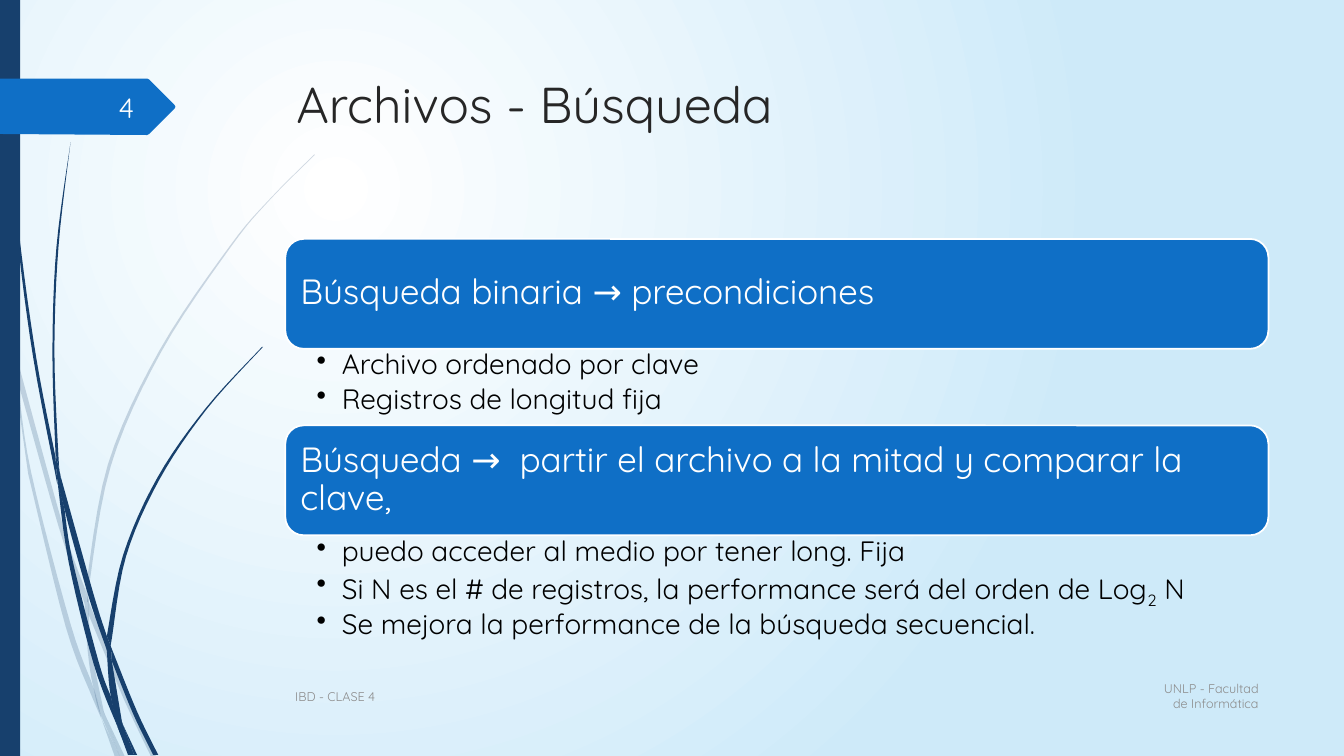
import pptx
import pptx.dml.color
import pptx.enum.shapes
import pptx.enum.text
import pptx.oxml
import pptx.oxml.ns
import pptx.util
from dataclasses import dataclass

Inches = pptx.util.Inches
Pt = pptx.util.Pt
qn = pptx.oxml.ns.qn
ALIGN = pptx.enum.text.PP_ALIGN
ANCHOR = pptx.enum.text.MSO_ANCHOR
PRESET = pptx.enum.shapes.MSO_SHAPE


@dataclass(frozen=True)
class Theme:
    font: str = "Quicksand"
    navy: str = "17406D"
    blue: str = "0F6FC6"
    sky: str = "CEEAF9"
    white: str = "FFFFFF"
    black: str = "000000"
    heading: str = "262626"
    muted: str = "8C8C8C"
    number: str = "FEFFFF"
    title_size: float = 36
    card_size: float = 25
    body_size: float = 20
    footer_size: float = 9


PALE_BLADES = [
    ([(0.11, 3.5), (0.09, 3.22), (0, 2.82)], [(0, 2.99), (0.1, 3.44)]),
    ([(0.14, 3.45), (0.62, 5.2), (0.85, 5.86)], [(0.84, 5.99), (0.58, 5.22), (0.17, 3.76)]),
    ([(0.88, 5.96), (0.92, 6.07), (1.27, 6.92), (1.55, 7.51)],
     [(1.5, 7.51), (1.23, 6.94), (0.88, 6.1)]),
    ([(1.05, 7.11), (1.24, 7.51)], [(1.19, 7.51)]),
    ([(0.11, 3.5), (0.17, 3.76), (0.31, 4.69), (0.7, 6.19), (0.93, 6.83), (1.01, 7.14)],
     [(0.92, 6.93), (0.65, 6.21), (0.28, 4.7)]),
    ([(0.84, 5.99), (0.87, 6.46), (0.93, 6.83), (1.05, 7.11)],
     [(1.03, 7.06), (0.91, 6.46), (0.88, 6.08)]),
    ([(0.88, 5.96), (0.88, 5.84), (1.1, 4.62), (1.6, 3.49), (2.29, 2.45), (2.68, 1.98), (3.12, 1.54)],
     [(3.12, 1.53), (2.68, 1.97), (2.28, 2.44), (1.58, 3.48), (1.07, 4.61), (0.85, 5.84)]),
    ([(1.01, 7.14), (1.14, 7.51)], [(1.19, 7.51)]),
    ([(0.88, 6.1), (0.88, 5.96), (0.85, 5.86)], [(0.84, 5.99), (0.88, 6.08)]),
    ([(0.93, 6.83), (0.99, 7.07), (1.19, 7.51)], [(1.05, 7.11), (0.96, 6.92)]),
]
NAVY_BLADES = [
    ([(0.03, 0), (0.07, 1.1), (0.17, 2.33), (0.33, 3.55), (0.57, 4.81)],
     [(0.55, 4.53), (0.36, 3.55), (0.19, 2.32), (0.08, 1.09), (0.04, 0)]),
    ([(0.6, 4.72), (0.64, 5.05), (0.88, 5.92), (1.06, 6.45)], [(1.06, 6.31), (0.93, 5.9), (0.6, 4.72)]),
    ([(1.1, 6.41), (1.13, 6.49), (1.36, 7.06), (1.57, 7.49)],
     [(1.52, 7.49), (1.32, 7.08), (1.11, 6.56)]),
    ([(0.57, 4.77), (0.68, 5.57), (0.93, 6.59), (1.17, 7.22)],
     [(1.1, 6.91), (0.98, 6.57), (0.72, 5.56), (0.64, 5.05)]),
    ([(0.6, 4.72), (0.58, 4.53), (0.54, 3.49), (0.58, 2.45), (0.7, 1.41)],
     [(0.7, 1.41), (0.56, 2.45), (0.52, 3.49), (0.55, 4.49)]),
    ([(1.22, 7.19), (1.33, 7.49)], [(1.36, 7.49)]),
    ([(0.55, 4.49), (0.57, 4.77), (0.64, 5.05)], [(0.6, 4.72)]),
    ([(1.1, 6.41), (1.11, 6.33), (1.25, 5.52), (1.58, 4.76), (2.05, 4.06), (2.61, 3.44)],
     [(2.6, 3.44), (2.04, 4.05), (1.56, 4.74), (1.22, 5.51), (1.06, 6.31)]),
    ([(1.17, 7.22), (1.27, 7.49)], [(1.31, 7.49)]),
    ([(1.06, 6.45), (1.1, 6.91), (1.22, 7.19)], [(1.21, 7.16), (1.11, 6.56)]),
    ([(1.06, 6.31), (1.06, 6.45), (1.11, 6.56)], [(1.1, 6.41)]),
    ([(1.1, 6.91), (1.17, 7.22), (1.3, 7.49)], [(1.33, 7.49), (1.22, 7.19), (1.16, 7.06)]),
]
NUMBER_TAG = [(0, 0.78), (1.46, 0.78), (1.48, 0.79), (1.73, 1.04), (1.74, 1.06),
              (1.73, 1.08), (1.48, 1.33), (1.46, 1.34), (0, 1.33)]


def smooth(edge, steps=6):
    points = [edge[0], *edge, edge[-1]]
    curve = []
    for a, b, c, d in zip(points, points[1:], points[2:], points[3:]):
        for step in range(steps):
            t = step / steps
            curve.append(tuple(
                q + t * (r - p) / 2 + t * t * (p - 2.5 * q + 2 * r - s / 2)
                + t ** 3 * (1.5 * (q - r) + (s - p) / 2)
                for p, q, r, s in zip(a, b, c, d)))
    return curve + [edge[-1]]


class SlideBuilder:
    def __init__(self, slide, theme):
        self.slide = slide
        self.theme = theme

    def background(self, centre, edge):
        fill = self.slide.background.fill
        fill.gradient()
        for stop, position, color in zip(fill.gradient_stops, (0, 1), (centre, edge)):
            stop.position = position
            stop.color.rgb = pptx.dml.color.RGBColor.from_string(color)
        linear = self.slide._element.find(".//" + qn("a:lin"))
        linear.getparent().replace(linear, pptx.oxml.parse_xml(
            f'<a:path {pptx.oxml.ns.nsdecls("a")} path="circle">'
            '<a:fillToRect l="50000" t="50000" r="100000" b="100000"/></a:path>'))

    def paint(self, shape, color, outline=None, alpha=None):
        shape.shadow.inherit = False
        shape.fill.solid()
        shape.fill.fore_color.rgb = pptx.dml.color.RGBColor.from_string(color)
        if alpha is not None:
            tint = shape._element.spPr.find(".//" + qn("a:srgbClr"))
            tint.append(tint.makeelement(qn("a:alpha"), {"val": str(alpha * 1000)}))
        if outline:
            shape.line.color.rgb = pptx.dml.color.RGBColor.from_string(outline)
            shape.line.width = Pt(1.25)
        else:
            shape.line.fill.background()

    def outline(self, points, color, alpha=None):
        corners = [(Inches(x), Inches(y)) for x, y in points]
        builder = self.slide.shapes.build_freeform(*corners[0])
        builder.add_line_segments(corners[1:], close=True)
        self.paint(builder.convert_to_shape(), color, alpha=alpha)

    def box(self, preset, bounds, color, outline=None):
        shape = self.slide.shapes.add_shape(preset, *map(Inches, bounds))
        self.paint(shape, color, outline)

    def text(self, bounds, lines, size, color, anchor=ANCHOR.TOP, align=ALIGN.LEFT,
             insets=(0.1, 0.05, 0.1, 0.05), spacing=None, bullets=False):
        frame = self.slide.shapes.add_textbox(*map(Inches, bounds)).text_frame
        frame.word_wrap = True
        frame.vertical_anchor = anchor
        frame.margin_left, frame.margin_top, frame.margin_right, frame.margin_bottom = map(Inches, insets)
        frame.text = "\n".join(lines)
        for paragraph in frame.paragraphs:
            paragraph.alignment = align
            if spacing:
                paragraph.line_spacing = spacing
            if bullets:
                self.bullet(paragraph)
            for run in paragraph.runs:
                self.style(run, size, color)
        return frame

    def style(self, run, size, color):
        run.font.name = self.theme.font
        run.font.size = Pt(size)
        run.font.color.rgb = pptx.dml.color.RGBColor.from_string(color)

    def bullet(self, paragraph):
        paragraph.level = 1
        paragraph.space_after = Pt(3)
        properties = paragraph._p.get_or_add_pPr()
        properties.set("marL", str(Inches(0.25)))
        properties.set("indent", str(-Inches(0.25)))
        properties.append(properties.makeelement(qn("a:buChar"), {"char": "•"}))

    def section(self, top, heading, points, height):
        theme = self.theme
        self.box(PRESET.ROUNDED_RECTANGLE, (2.83, top, 9.75, 1.09), theme.blue, theme.white)
        self.text((2.88, top + 0.05, 9.64, 0.98), [heading], theme.card_size, theme.white,
                  ANCHOR.MIDDLE, insets=(0.1,) * 4, spacing=0.9)
        return self.text((2.83, top + 1.08, 9.75, height), points, theme.body_size, theme.black,
                         insets=(0.31, 0.03, 0.19, 0.03), spacing=0.9, bullets=True)

    def subscript(self, paragraph, below, after):
        for words, baseline in ((below, "-25000"), (after, "0")):
            run = paragraph.add_run()
            run.text = words
            self.style(run, self.theme.body_size, self.theme.black)
            run.font._element.set("baseline", baseline)


def main():
    deck = pptx.Presentation()
    deck.slide_width, deck.slide_height = Inches(13.33), Inches(7.5)
    theme = Theme()
    page = SlideBuilder(deck.slides.add_slide(deck.slide_layouts[6]), theme)

    page.background(theme.white, theme.sky)
    for blades, alpha in ((PALE_BLADES, 20), (NAVY_BLADES, None)):
        for outward, back in blades:
            page.outline(smooth(outward) + smooth(back), theme.navy, alpha)
    page.box(PRESET.RECTANGLE, (0, 0, 0.2, 7.5), theme.navy)
    page.outline(NUMBER_TAG, theme.blue)

    page.text((2.84, 0.68, 9.75, 1.4), ["Archivos - Búsqueda"], theme.title_size, theme.heading)
    page.section(2.37, "Búsqueda binaria → precondiciones",
                 ["Archivo ordenado por clave", "Registros de longitud fija"], 0.76)
    search = page.section(4.22, "Búsqueda →  partir el archivo a la mitad y comparar la clave,", [
        "puedo acceder al medio por tener long. Fija",
        "Si N es el # de registros, la performance será del orden de Log",
        "Se mejora la performance de la búsqueda secuencial."], 1.13)
    page.subscript(search.paragraphs[1], "2", " N")

    page.text((11.33, 6.7, 1.25, 0.41), ["UNLP - Facultad de Informática"], theme.footer_size,
              theme.muted, ANCHOR.MIDDLE, ALIGN.RIGHT)
    page.text((2.83, 6.71, 8.33, 0.4), ["IBD - CLASE 4"], theme.footer_size, theme.muted, ANCHOR.MIDDLE)
    page.text((0.58, 0.86, 0.85, 0.4), ["4"], theme.body_size, theme.number, ANCHOR.MIDDLE, ALIGN.RIGHT)
    deck.save("out.pptx")


if __name__ == "__main__":
    main()
